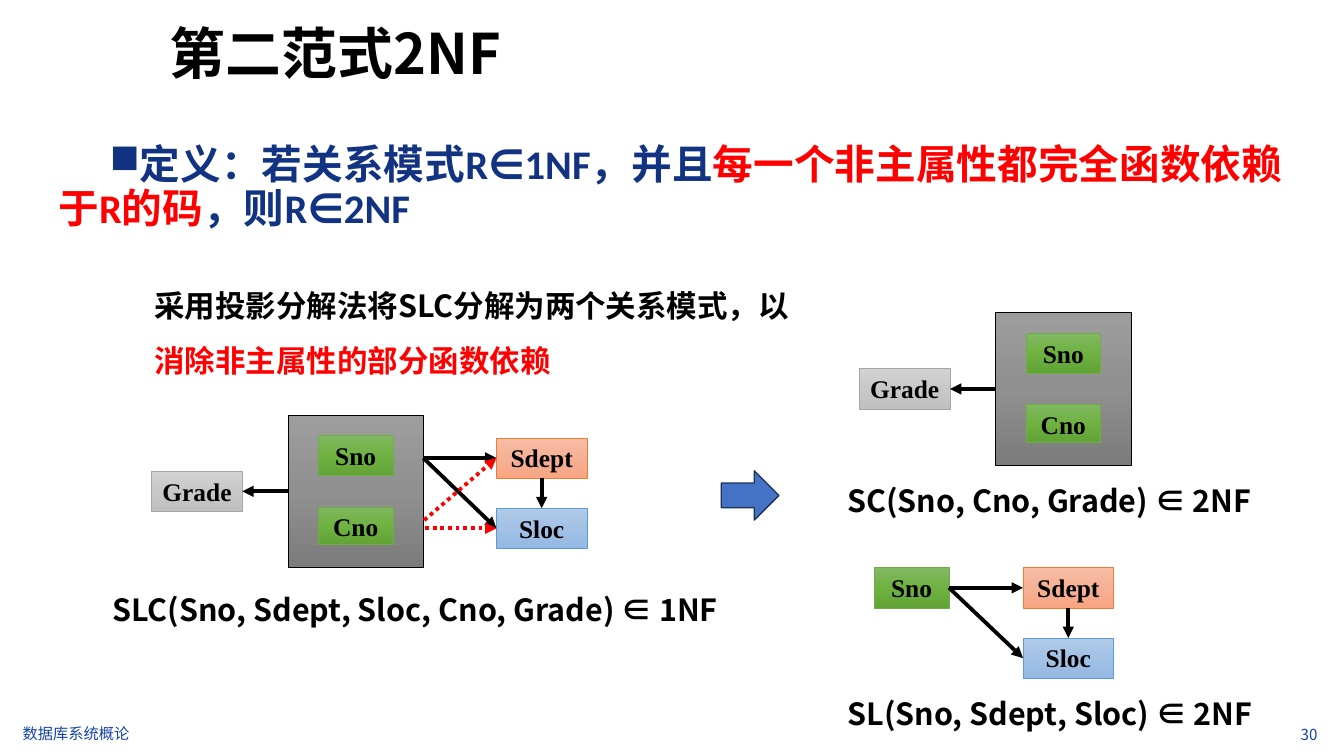
import copy

import pptx
import pptx.dml.color
import pptx.enum.dml
import pptx.enum.shapes
import pptx.enum.text
import pptx.oxml
import pptx.oxml.ns
import pptx.util
from lxml import etree

ALIGN = pptx.enum.text.PP_ALIGN
ANCHOR = pptx.enum.text.MSO_ANCHOR
SHAPE = pptx.enum.shapes.MSO_SHAPE
RGB = pptx.dml.color.RGBColor.from_string
qn = pptx.oxml.ns.qn

THEME = {
    "sans": "Noto Sans CJK SC", "body": "Calibri", "serif": "Times New Roman",
    "title_size": 44, "body_size": 32, "note_size": 24, "node_size": 20, "footer_size": 12,
    "black": "000000", "red": "FF0000", "navy": "113381", "footer": "1543A6",
    "arrow_fill": "4472C4", "arrow_line": "1E3256",
    # Node looks: three gradient stops, then the outline
    "key": ("9D9D9D", "909090", "7C7C7C", "000000"),
    "green": ("81B861", "6FB242", "62A336", "70AD47"),
    "grey": ("D2D2D2", "C8C8C8", "C0C0C0", "A5A5A5"),
    "orange": ("F7BDA5", "F5B196", "F8A582", "ED7D31"),
    "blue": ("B1CBE9", "A3C1E5", "93B9E4", "5B9BD5"),
}

prs = pptx.Presentation()
prs.slide_width = pptx.util.Inches(14.7)
prs.slide_height = pptx.util.Inches(8.27)
slide = prs.slides.add_slide(prs.slide_layouts[6])
CELL = prs.slide_width / 147  # square grid, 147 columns across the slide


def cells(*lengths):
    return [pptx.util.Emu(round(length * CELL)) for length in lengths]


def write(paragraph, runs, font, size, bold=True):
    for text, color in runs:
        run = paragraph.add_run()
        run.text = text
        run.font.size = pptx.util.Pt(size)
        run.font.bold = bold
        run.font.color.rgb = RGB(THEME[color])
        run.font.name = font
        etree.SubElement(run.font._element, qn("a:ea"), typeface=font)


# Title, definition and footer: place, runs, font, size, bold, line spacing, before, after
headings = [
    ((1.5, 79, 13.8, 2.8), [("数据库系统概论", "footer")],
     "sans", "footer_size", False, 0.9, 8.3, 0),
    ((112.1, 78.6, 33.1, 3.5), [("30", "footer")],
     "sans", "footer_size", False, 1, 0, 0),
    ((5.4, 15.3, 136.6, 10.3),
     [("定义：若关系模式R∈1NF，并且", "navy"),
      ("每一个非主属性都完全函数依赖于R的码", "red"),
      ("，则R∈2NF", "navy")],
     "body", "body_size", True, 0.9, 6.6, 6.6),
    ((17.6, 2.4, 118.1, 6.3), [("第二范式2NF", "black")],
     "sans", "title_size", True, 0.9, 6.6, 6.6),
]
# Explanation and the caption under each schema
notes = [
    ((15.9, 28.9, 73.4, 12.2),
     [("采用投影分解法将SLC分解为两个关系模式，以", "black"),
      ("消除非主属性的部分函数依赖", "red")]),
    ((11.3, 62.2, 72.7, 6.1), [("SLC(Sno, Sdept, Sloc, Cno, Grade) ∈ 1NF", "black")]),
    ((91.7, 50.2, 52.3, 6.1), [("SC(Sno, Cno, Grade) ∈ 2NF", "black")]),
    ((91.7, 73.5, 52.3, 6.1), [("SL(Sno, Sdept, Sloc) ∈ 2NF", "black")]),
]
headings += [(place, runs, "sans", "note_size", True, 1.5, 0, 0) for place, runs in notes]

frames = []
for place, runs, font, size, bold, spacing, before, after in headings:
    frame = slide.shapes.add_textbox(*cells(*place)).text_frame
    frame.word_wrap = True
    paragraph = frame.paragraphs[0]
    paragraph.line_spacing = spacing
    paragraph.space_before = pptx.util.Pt(before)
    paragraph.space_after = pptx.util.Pt(after)
    write(paragraph, runs, THEME[font], THEME[size], bold)
    frames.append(frame)

footer, page_number, definition = frames[:3]
footer.word_wrap = False
page_number.vertical_anchor = ANCHOR.MIDDLE
page_number.margin_left, page_number.margin_right = cells(1.1, 1.1)
page_number.paragraphs[0].alignment = ALIGN.RIGHT

# Square bullet with a first-line indent
bullet = definition.paragraphs[0]._p.get_or_add_pPr()
bullet.set("marL", "0")
bullet.set("indent", str(cells(5.6)[0]))
etree.SubElement(bullet, qn("a:buChar"), char="■")

# Nodes: the key block and the dependent block each appear in two schemas
nodes = []
for schema, left, top in [("SLC", 31.5, 45.4), ("SC", 108.9, 34.2)]:
    nodes += [
        (schema, "", "key", left, top, 14.8, 16.7),
        (schema, "Sno", "green", left + 3.3, top + 2.25, 8.2, 4.4),
        (schema, "Cno", "green", left + 3.3, top + 10.05, 8.2, 4.1),
        (schema, "Grade", "grey", left - 14.9, top + 6.15, 9.9, 4.4),
    ]
for schema, left, top in [("SLC", 54.3, 47.9), ("SL", 111.9, 62.1)]:
    nodes += [
        (schema, "Sdept", "orange", left, top, 9.9, 4.4),
        (schema, "Sloc", "blue", left, top + 7.7, 9.9, 4.4),
    ]
nodes.append(("SL", "Sno", "green", 95.6, 62.1, 8.2, 4.4))

placed = {}
for schema, label, look, *place in nodes:
    node = slide.shapes.add_shape(SHAPE.RECTANGLE, *cells(*place))
    node.shadow.inherit = False
    node.fill.gradient()
    node.fill.gradient_angle = 270  # counter-clockwise: top to bottom
    stops = node._element.spPr.find(".//" + qn("a:gsLst"))
    stops.insert(1, copy.deepcopy(stops[0]))
    *shades, outline = THEME[look]
    for stop, shade, position in zip(node.fill.gradient_stops, shades, (0, 0.5, 1)):
        stop.color.rgb = RGB(shade)
        stop.position = position
    node.line.color.rgb = RGB(outline)
    node.line.width = pptx.util.Pt(0.5)
    if label:
        node.text_frame.vertical_anchor = ANCHOR.TOP
        paragraph = node.text_frame.paragraphs[0]
        paragraph.alignment = ALIGN.CENTER
        write(paragraph, [(label, "black")], THEME["serif"], THEME["node_size"])
    placed[schema, label] = node

# Dependencies: schema, start (node and side, or a grid point), end node and side, colour
TOP, LEFT, BOTTOM, RIGHT = range(4)
dependencies = [
    ("SLC", ("", LEFT), ("Grade", RIGHT), "black"),
    ("SLC", (46.3, 50.1), ("Sdept", LEFT), "black"),
    ("SLC", (46.3, 50.1), ("Sloc", LEFT), "black"),
    ("SLC", (46.4, 56.9), ("Sdept", LEFT), "red"),
    ("SLC", (46.5, 57.8), ("Sloc", LEFT), "red"),
    ("SLC", ("Sdept", BOTTOM), ("Sloc", TOP), "black"),
    ("SC", ("", LEFT), ("Grade", RIGHT), "black"),
    ("SL", ("Sno", RIGHT), ("Sdept", LEFT), "black"),
    ("SL", ("Sno", RIGHT), ("Sloc", LEFT), "black"),
    ("SL", ("Sdept", BOTTOM), ("Sloc", TOP), "black"),
]
for schema, start, (target, target_side), color in dependencies:
    joined = (schema, start[0]) in placed
    point = cells(0, 0) if joined else cells(*start)
    arrow = slide.shapes.add_connector(
        pptx.enum.shapes.MSO_CONNECTOR.STRAIGHT, *point, *point)
    if joined:
        arrow.begin_connect(placed[schema, start[0]], start[1])
    arrow.end_connect(placed[schema, target], target_side)
    arrow.line.color.rgb = RGB(THEME[color])
    arrow.line.width = pptx.util.Pt(3)
    if color == "red":  # partial dependency
        arrow.line.dash_style = pptx.enum.dml.MSO_LINE.ROUND_DOT
    etree.SubElement(arrow.line._get_or_add_ln(), qn("a:tailEnd"), type="triangle")
    etree.SubElement(arrow._element.spPr, qn("a:effectLst"))

# Block arrow from the 1NF schema to its decomposition
decompose = slide.shapes.add_shape(SHAPE.RIGHT_ARROW, *cells(78.9, 51.5, 6.3, 5.4))
decompose.shadow.inherit = False
decompose.fill.solid()
decompose.fill.fore_color.rgb = RGB(THEME["arrow_fill"])
decompose.line.color.rgb = RGB(THEME["arrow_line"])
decompose.line.width = pptx.util.Pt(1)

prs.save("out.pptx")
